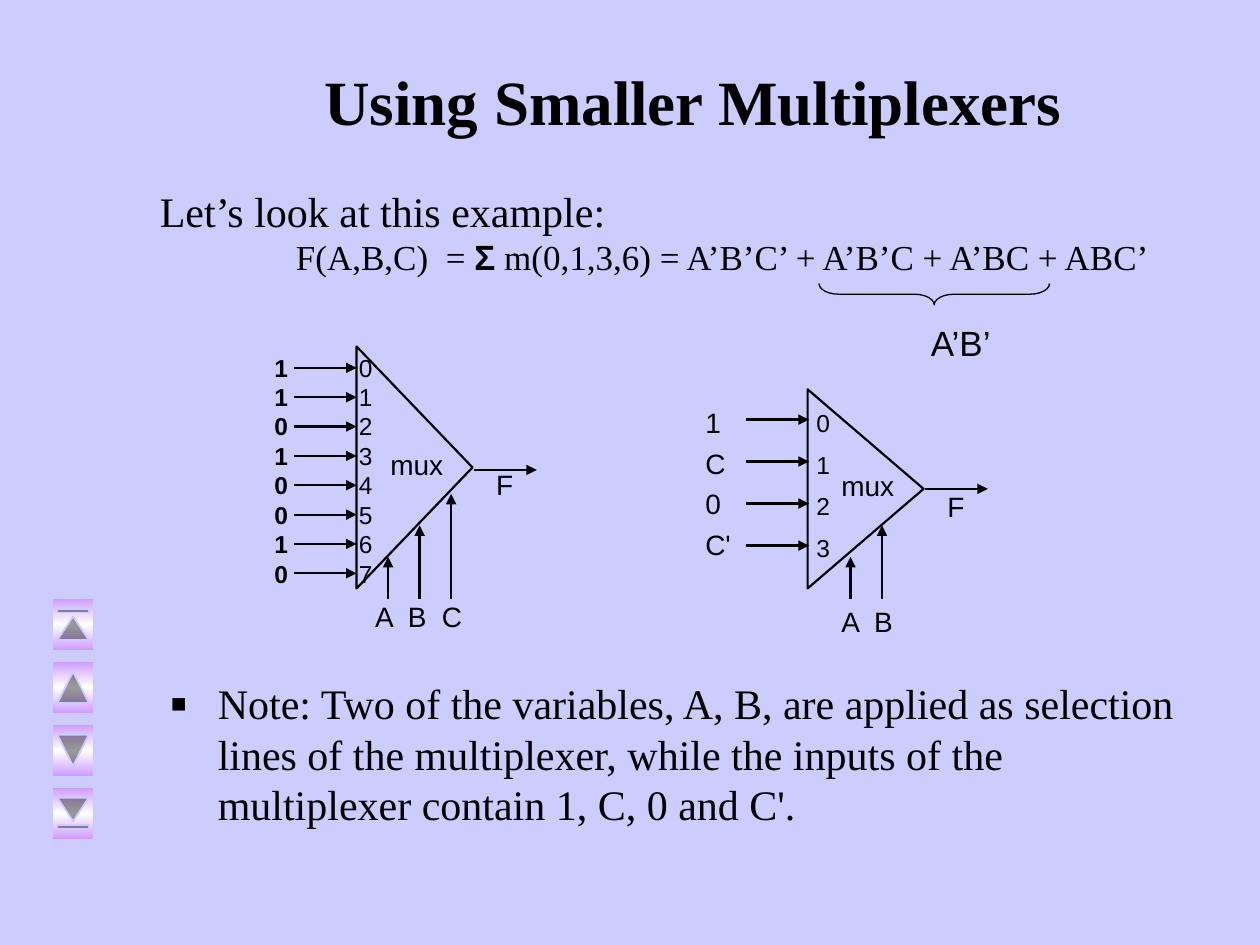
from dataclasses import dataclass
from typing import NamedTuple

from lxml.etree import SubElement
from pptx import Presentation
from pptx.dml.color import RGBColor
from pptx.enum.shapes import MSO_CONNECTOR, MSO_SHAPE
from pptx.enum.text import MSO_ANCHOR, PP_ALIGN
from pptx.oxml import parse_xml
from pptx.oxml.ns import nsdecls, qn
from pptx.util import Inches, Pt


@dataclass(frozen=True)
class Theme:
    background: str = "CCCCFF"
    ink: str = "000000"
    button: str = "CC99FF"
    button_shine: str = "FFFFFF"
    serif: str = "Times New Roman"
    sans: str = "Arial"
    title: float = 36
    body: float = 24
    formula: float = 20
    label: float = 16
    pin: float = 14
    wire: float = 1.25
    brace: float = 0.75


THEME = Theme()


class Span(NamedTuple):
    text: str
    size: float
    face: str = THEME.sans
    bold: bool = False


class Box(NamedTuple):
    left: float
    top: float
    width: float
    height: float


class Point(NamedTuple):
    x: float
    y: float


@dataclass(frozen=True)
class Mux:
    inputs: tuple[str, ...]
    input_box: Box
    input_span: Span
    pin_box: Box
    input_gap: float
    pin_gap: float
    first_wire: Point
    wire_pitch: float
    body: Box
    name_box: Box
    selectors: tuple[str, ...]
    selector_box: Box
    selector_tips: tuple[Point, ...]
    output_start: Point
    output_box: Box


WIRE_LENGTH = 0.5
SELECTOR_START = 4.75
SELECTOR_TABS = (0.26, 0.53)

MUXES = (
    Mux(inputs=tuple("11010010"), input_box=Box(2.08, 2.75, 0.42, 1.97),
        input_span=Span("", THEME.pin, bold=True),
        pin_box=Box(2.75, 2.75, 0.42, 1.97), input_gap=0, pin_gap=0,
        first_wire=Point(2.33, 2.92), wire_pitch=1.63 / 7,
        body=Box(2.33, 3.25, 1.92, 0.92), name_box=Box(3, 3.5, 0.75, 0.37),
        selectors=("A", "B", "C"), selector_box=Box(2.88, 4.71, 1, 0.37),
        selector_tips=(Point(3.08, 4.42), Point(3.33, 4.17), Point(3.58, 3.92)),
        output_start=Point(3.76, 3.73), output_box=Box(3.84, 3.33, 0.4, 0.44)),
    Mux(inputs=("1", "C", "0", "C'"), input_box=Box(5.5, 3.17, 0.5, 1.34),
        input_span=Span("", THEME.label),
        pin_box=Box(6.38, 3.19, 0.42, 1.33), input_gap=4, pin_gap=7,
        first_wire=Point(5.92, 3.33), wire_pitch=1 / 3,
        body=Box(6.08, 3.42, 1.58, 0.92), name_box=Box(6.58, 3.67, 0.75, 0.37),
        selectors=("A", "B"), selector_box=Box(6.58, 4.75, 0.75, 0.37),
        selector_tips=(Point(6.75, 4.42), Point(7, 4.17)),
        output_start=Point(7.34, 3.88), output_box=Box(7.42, 3.5, 0.4, 0.44)),
)

NAVIGATION = (
    MSO_SHAPE.ACTION_BUTTON_BEGINNING,
    MSO_SHAPE.ACTION_BUTTON_BACK_OR_PREVIOUS,
    MSO_SHAPE.ACTION_BUTTON_FORWARD_OR_NEXT,
    MSO_SHAPE.ACTION_BUTTON_END,
)


def apply(target, formats: dict) -> None:
    for name, value in formats.items():
        setattr(target, name, value)


def inches(box: Box) -> list:
    return [Inches(length) for length in box]


def write_spans(paragraph, spans: list[Span]) -> None:
    for span in spans:
        run = paragraph.add_run()
        run.text = span.text
        apply(run.font, {"size": Pt(span.size), "name": span.face, "bold": span.bold})
        run.font.color.rgb = RGBColor.from_string(THEME.ink)


def add_text(shapes, box: Box, lines: list[list[Span]], gap: float = 0, wrap: bool = True,
             align: PP_ALIGN = PP_ALIGN.LEFT):
    """Add a text box with one paragraph per line, gap points apart."""
    frame = shapes.add_textbox(*inches(box)).text_frame
    frame.word_wrap = wrap
    for index, spans in enumerate(lines):
        paragraph = frame.add_paragraph() if index else frame.paragraphs[0]
        paragraph.alignment = align
        if index and gap:
            paragraph.space_before = Pt(gap)
        write_spans(paragraph, spans)
    return frame


def add_tabs(paragraph, stops: tuple[float, ...]) -> None:
    tabs = SubElement(paragraph._p.get_or_add_pPr(), qn("a:tabLst"))
    for stop in stops:
        SubElement(tabs, qn("a:tab"), pos=str(Inches(stop)), algn="l")


def add_arrow(shapes, start: Point, end: Point) -> None:
    arrow = shapes.add_connector(MSO_CONNECTOR.STRAIGHT, *inches(start), *inches(end))
    arrow.line.color.rgb = RGBColor.from_string(THEME.ink)
    arrow.line.width = Pt(THEME.wire)
    SubElement(arrow.line._get_or_add_ln(), qn("a:tailEnd"), type="triangle")
    SubElement(arrow._element.spPr, qn("a:effectLst"))


def add_outline(shapes, kind: MSO_SHAPE, box: Box, rotation: float, color: str, width: float):
    """Add an unfilled preset shape turned by rotation degrees."""
    shape = shapes.add_shape(kind, *inches(box))
    shape.rotation = rotation
    shape.shadow.inherit = False
    shape.fill.background()
    shape.line.color.rgb = RGBColor.from_string(color)
    shape.line.width = Pt(width)
    return shape


def add_mux(slide, mux: Mux) -> None:
    shapes = slide.shapes.add_group_shape().shapes
    add_outline(shapes, MSO_SHAPE.ISOSCELES_TRIANGLE, mux.body, 90, THEME.ink, THEME.wire)
    add_text(shapes, mux.name_box, [[Span("mux", THEME.label)]])
    add_text(shapes, mux.input_box,
             [[mux.input_span._replace(text=value)] for value in mux.inputs], mux.input_gap)
    add_text(shapes, mux.pin_box,
             [[Span(str(pin), THEME.pin)] for pin in range(len(mux.inputs))], mux.pin_gap)
    x, first_y = mux.first_wire
    for pin in range(len(mux.inputs)):
        y = first_y + pin * mux.wire_pitch
        add_arrow(shapes, Point(x, y), Point(x + WIRE_LENGTH, y))
    for tip in mux.selector_tips:
        add_arrow(shapes, Point(tip.x, SELECTOR_START), tip)
    selectors = add_text(shapes, mux.selector_box,
                         [[Span("\t".join(mux.selectors), THEME.label)]])
    add_tabs(selectors.paragraphs[0], SELECTOR_TABS)
    start = mux.output_start
    add_arrow(shapes, start, Point(start.x + WIRE_LENGTH, start.y))
    add_text(shapes, mux.output_box,
             [[Span(" ", THEME.formula, THEME.serif), Span("F", THEME.label)]], wrap=False)


def add_navigation(slide) -> None:
    stops = ((0, THEME.button), (50000, THEME.button_shine), (100000, THEME.button))
    stop_xml = "".join(f'<a:gs pos="{position}"><a:srgbClr val="{color}"/></a:gs>'
                       for position, color in stops)
    for row, kind in enumerate(NAVIGATION):
        button = add_outline(slide.shapes, kind, Box(0.37, 4.79 + row * 0.5, 0.42, 0.33),
                             90, THEME.background, 1)
        button._element.spPr.replace(
            button._element.spPr.find(qn("a:noFill")),
            parse_xml(f'<a:gradFill {nsdecls("a")} rotWithShape="0"><a:gsLst>{stop_xml}'
                      '</a:gsLst><a:lin ang="5400000" scaled="1"/></a:gradFill>'))


def add_title(slide) -> None:
    title = slide.shapes.title
    place = inches(Box(1.25, 0.17, 8.5, 1.25))
    apply(title, dict(zip(("left", "top", "width", "height"), place)))
    title.text_frame.vertical_anchor = MSO_ANCHOR.MIDDLE
    heading = title.text_frame.paragraphs[0]
    heading.alignment = PP_ALIGN.CENTER
    write_spans(heading, [Span("Using Smaller Multiplexers", THEME.title, THEME.serif, True)])


def add_example(slide) -> None:
    example = add_text(slide.shapes, Box(1.17, 1.42, 8.25, 1.08), [
        [Span("Let’s look at this example:", THEME.body, THEME.serif)],
        [Span("\tF(A,B,C)\t= ", THEME.formula, THEME.serif),
         Span("Σ", THEME.formula, bold=True),
         Span(" m(0,1,3,6) = A’B’C’ + A’B’C + A’BC + ABC’", THEME.formula, THEME.serif)],
    ])
    add_tabs(example.paragraphs[1], (1.08, 2.27))
    brace = add_outline(slide.shapes, MSO_SHAPE.LEFT_BRACE, Box(7.33, 1.42, 0.17, 1.83),
                        270, THEME.ink, THEME.brace)
    brace.adjustments[0] = 0.92
    add_text(slide.shapes, Box(7.25, 2.5, 0.75, 0.44), [[Span("A’B’", THEME.formula)]],
             align=PP_ALIGN.CENTER)


def add_note(slide) -> None:
    note = add_text(slide.shapes, Box(1.25, 5.33, 8.25, 1.42), [[Span(
        "Note: Two of the variables, A, B, are applied as selection lines of the multiplexer, "
        "while the inputs of the multiplexer contain 1, C, 0 and C'.", THEME.body, THEME.serif)]])
    properties = note.paragraphs[0]._p.get_or_add_pPr()
    apply_indent = {"marL": Inches(0.38), "indent": Inches(-0.38)}
    for name, value in apply_indent.items():
        properties.set(name, str(value))
    SubElement(properties, qn("a:buSzPct"), val="120000")
    SubElement(properties, qn("a:buFont"), typeface=THEME.sans)
    SubElement(properties, qn("a:buChar"), char="▪")


def main() -> None:
    deck = Presentation()
    deck.slide_width, deck.slide_height = Inches(10), Inches(7.5)
    slide = deck.slides.add_slide(deck.slide_layouts.get_by_name("Title Only"))
    slide.background.fill.solid()
    slide.background.fill.fore_color.rgb = RGBColor.from_string(THEME.background)
    add_title(slide)
    add_note(slide)
    for mux in MUXES:
        add_mux(slide, mux)
    add_navigation(slide)
    add_example(slide)
    deck.save("out.pptx")


if __name__ == "__main__":
    main()
